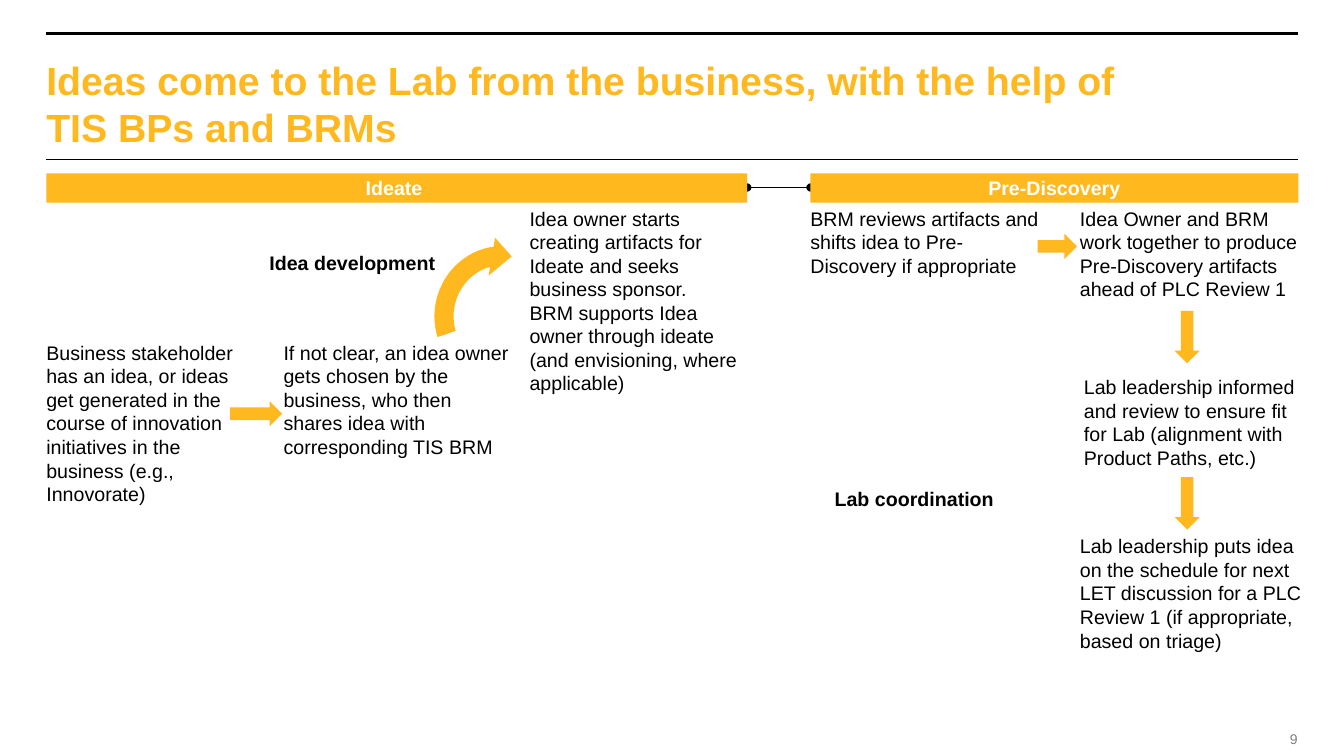
from dataclasses import dataclass

from lxml import etree
from pptx import Presentation
from pptx.dml.color import RGBColor
from pptx.enum.shapes import MSO_CONNECTOR, MSO_SHAPE
from pptx.enum.text import MSO_ANCHOR, PP_ALIGN
from pptx.oxml.ns import qn
from pptx.util import Inches, Pt

AMBER = RGBColor(0xFF, 0xB8, 0x1E)
BLACK = RGBColor(0x00, 0x00, 0x00)
GRAY = RGBColor(0x7F, 0x7F, 0x7F)
WHITE = RGBColor(0xFF, 0xFF, 0xFF)
LEFT, CENTER, RIGHT = PP_ALIGN.LEFT, PP_ALIGN.CENTER, PP_ALIGN.RIGHT
TOP, MIDDLE = MSO_ANCHOR.TOP, MSO_ANCHOR.MIDDLE
BAR, ARROW, CURVED_ARROW = MSO_SHAPE.RECTANGLE, MSO_SHAPE.RIGHT_ARROW, MSO_SHAPE.CIRCULAR_ARROW
STRAIGHT = MSO_CONNECTOR.STRAIGHT

FONT = "Arial"
GRID_COLUMNS = GRID_ROWS = 100
LINE_ROWS = 3.14
MARGIN_LEFT, MARGIN_RIGHT = 3.45, 96.6
IDEATE_END, DISCOVERY_START = 55.6, 60.3
OWNER_COLUMN, ARTIFACT_COLUMN, REVIEW_COLUMN = 21.1, 39.4, 80.35
WIDE, NARROW = 17.1, 16.2
UPPER_ROW, LOWER_ROW = 27.33, 45.07
PHASE_ROW, PHASE_HEIGHT = 22.93, 3.87
ARROW_HEIGHT = 3.33

prs = Presentation()
prs.slide_width, prs.slide_height = Inches(13.33), Inches(7.5)
slide = prs.slides.add_slide(prs.slide_layouts[6])


@dataclass(frozen=True)
class Area:
    column: float
    row: float
    width: float
    height: float

    def emu(self) -> tuple[int, int, int, int]:
        return x(self.column), y(self.row), x(self.width), y(self.height)


@dataclass(frozen=True)
class Step:
    column: float
    row: float
    width: float
    lines: int
    paragraphs: tuple[str, ...]


@dataclass(frozen=True)
class Phase:
    start: float
    end: float
    name: str


@dataclass(frozen=True)
class Caption:
    column: float
    row: float
    text: str


@dataclass(frozen=True)
class Flow:
    column: float
    row: float
    length: float
    rotation: float = 0


@dataclass(frozen=True)
class Rule:
    start: float
    end: float
    row: float
    weight: float
    dotted_ends: bool = False


def x(columns: float) -> int:
    return round(prs.slide_width * columns / GRID_COLUMNS)


def y(rows: float) -> int:
    return round(prs.slide_height * rows / GRID_ROWS)


def write(frame, *paragraphs: str, size: float = 14, color: RGBColor = BLACK,
          bold: bool = False, align=LEFT, anchor=TOP, wrap: bool = True) -> None:
    frame.word_wrap = wrap
    frame.vertical_anchor = anchor
    frame.margin_left = frame.margin_right = frame.margin_top = frame.margin_bottom = 0
    for index, text in enumerate(paragraphs):
        paragraph = frame.add_paragraph() if index else frame.paragraphs[0]
        paragraph.alignment = align
        run = paragraph.add_run()
        run.text = text
        run.font.name, run.font.size, run.font.bold = FONT, Pt(size), bold
        run.font.color.rgb = color


def text_frame(area: Area):
    return slide.shapes.add_textbox(*area.emu()).text_frame


def amber_shape(kind, area: Area, rotation: float = 0):
    shape = slide.shapes.add_shape(kind, *area.emu())
    shape.shadow.inherit = False
    shape.fill.solid()
    shape.fill.fore_color.rgb = AMBER
    shape.line.fill.background()
    shape.rotation = rotation
    return shape


def draw_rule(rule: Rule) -> None:
    connector = slide.shapes.add_connector(
        STRAIGHT, x(rule.start), y(rule.row), x(rule.end), y(rule.row))
    connector.line.color.rgb = BLACK
    connector.line.width = Pt(rule.weight)
    if rule.dotted_ends:
        outline = connector.line._get_or_add_ln()
        for end in ("a:headEnd", "a:tailEnd"):
            etree.SubElement(outline, qn(end), type="oval")
    etree.SubElement(connector._element.spPr, qn("a:effectLst"))


RULES = (
    Rule(MARGIN_LEFT, MARGIN_RIGHT, 4.4, 2.5),
    Rule(MARGIN_LEFT, MARGIN_RIGHT, 21.07, 1),
    Rule(IDEATE_END, DISCOVERY_START, 24.8, 0.75, dotted_ends=True),
)
PHASES = (
    Phase(MARGIN_LEFT, IDEATE_END, "Ideate "),
    Phase(DISCOVERY_START, MARGIN_RIGHT, "Pre-Discovery"),
)
STEPS = (
    Step(MARGIN_LEFT, LOWER_ROW, 14.1, 7, (
        "Business stakeholder has an idea, or ideas get generated in the course of "
        "innovation initiatives in the business (e.g., Innovorate)",)),
    Step(OWNER_COLUMN, LOWER_ROW, WIDE, 5, (
        "If not clear, an idea owner gets chosen by the business, who then shares "
        "idea with corresponding TIS BRM",)),
    Step(ARTIFACT_COLUMN, UPPER_ROW, NARROW, 8, (
        "Idea owner starts creating artifacts for Ideate and seeks business sponsor.",
        "BRM supports Idea owner through ideate (and envisioning, where applicable)")),
    Step(DISCOVERY_START, UPPER_ROW, WIDE, 3, (
        "BRM reviews artifacts and shifts idea to Pre-Discovery if appropriate",)),
    Step(REVIEW_COLUMN, UPPER_ROW, NARROW, 4, (
        "Idea Owner and BRM work together to produce Pre-Discovery artifacts ahead "
        "of PLC Review 1",)),
    Step(80.65, 49.6, WIDE, 4, (
        "Lab leadership informed and review to ensure fit for Lab (alignment with "
        "Product Paths, etc.)",)),
    Step(REVIEW_COLUMN, 70.67, WIDE, 5, (
        "Lab leadership puts idea on the schedule for next LET discussion for a PLC "
        "Review 1 (if appropriate, based on triage)",)),
)
CAPTIONS = (
    Caption(15.3, 33.2, "Idea development"),
    Caption(56.86, 64.4, "Lab coordination"),
)
FLOWS = (
    Flow(17.1, 53.07, 3.9),
    Flow(77.2, 30.93, 2.93),
    Flow(86.38, 42.93, 3.9, rotation=90),
    Flow(86.38, 64.93, 3.9, rotation=90),
)
CURVE = (0.125, 11.423, 204.577, 145.063, 0.125)


def main() -> None:
    for rule in RULES:
        draw_rule(rule)
    write(text_frame(Area(MARGIN_LEFT, 7.47, 81.1, 12.53)),
          "Ideas come to the Lab from the business, with the help of TIS BPs and BRMs",
          size=28, color=AMBER, bold=True)
    for step in STEPS:
        area = Area(step.column, step.row, step.width, step.lines * LINE_ROWS)
        write(text_frame(area), *step.paragraphs)
    for phase in PHASES:
        area = Area(phase.start, PHASE_ROW, phase.end - phase.start, PHASE_HEIGHT)
        write(amber_shape(BAR, area).text_frame, phase.name,
              color=WHITE, bold=True, align=CENTER, anchor=MIDDLE)
    for caption in CAPTIONS:
        area = Area(caption.column, caption.row, WIDE, LINE_ROWS)
        write(text_frame(area), caption.text, bold=True, align=RIGHT)
    for flow in FLOWS:
        amber_shape(ARROW, Area(flow.column, flow.row, flow.length, ARROW_HEIGHT), flow.rotation)
    development = amber_shape(CURVED_ARROW, Area(31.43, 31.6, 11.78, 20.27), 279.7)
    for index, value in enumerate(CURVE):
        development.adjustments[index] = value
    write(text_frame(Area(95.27, 96.67, 1.28, 2.27)), "9",
          size=10, color=GRAY, align=RIGHT, anchor=MIDDLE, wrap=False)
    prs.save("out.pptx")


if __name__ == "__main__":
    main()
